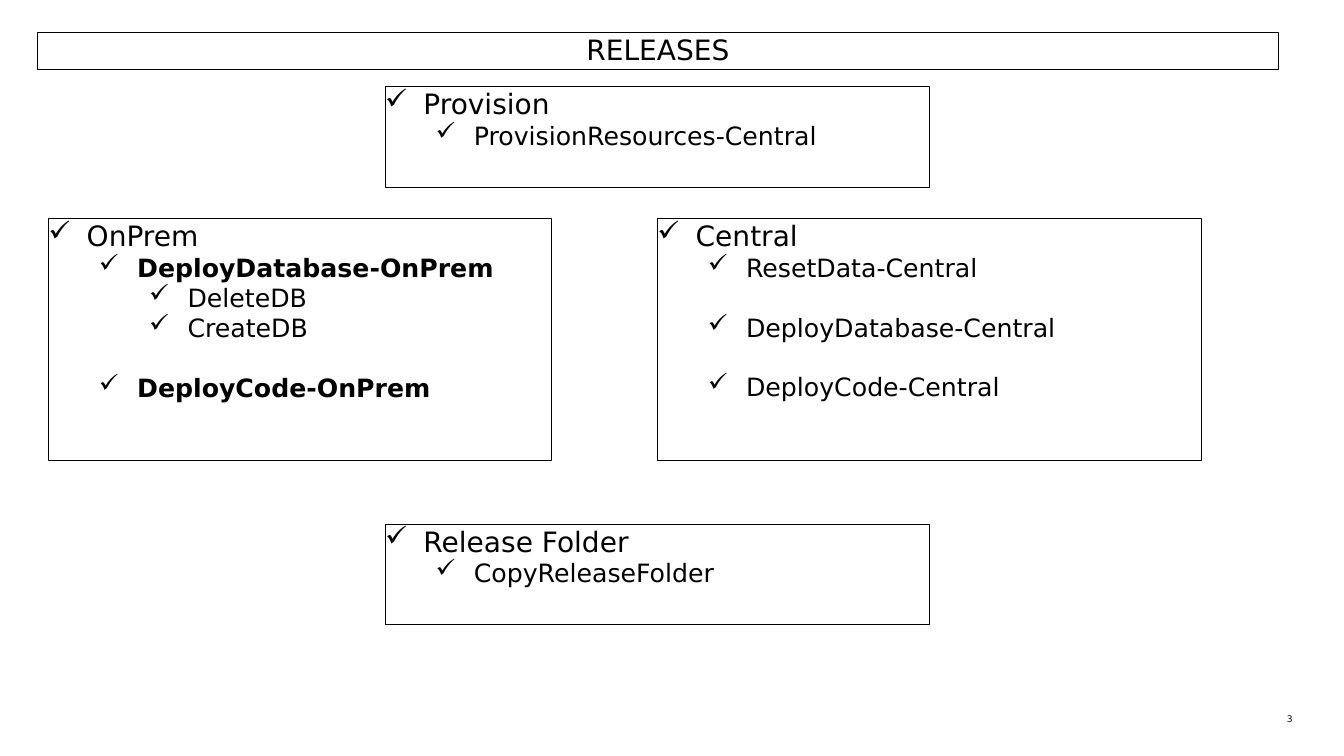
from lxml import etree
from pptx import Presentation
from pptx.dml import color
from pptx.enum import shapes, text
from pptx.oxml import ns
from pptx.util import Inches, Pt

FONT = "DejaVu Sans"
BLACK = "000000"
INDENT = 0.38
LEVEL_STEP = 0.5
GAP = 21


def rgb(value):
    return color.RGBColor.from_string(value)


def prepare_frame(frame):
    frame.word_wrap = True
    frame.vertical_anchor = text.MSO_ANCHOR.TOP
    frame.margin_left = frame.margin_right = Inches(0)
    frame.margin_top = frame.margin_bottom = Inches(0)


def write(para, content, size=18, bold=False, align=text.PP_ALIGN.LEFT, before=0):
    para.alignment = align
    para.space_before = Pt(before)
    span = para.add_run()
    span.text = content
    span.font.name = FONT
    span.font.size = Pt(size)
    span.font.bold = bold
    span.font.color.rgb = rgb(BLACK)


def add_check(para, level):
    para.level = level
    properties = para._p.get_or_add_pPr()
    properties.set("marL", str(Inches(INDENT + LEVEL_STEP * level)))
    properties.set("indent", str(-Inches(INDENT)))
    bullet = etree.SubElement(properties, ns.qn("a:buChar"))
    bullet.set("char", "✓")


def add_box(page, left, top, width, height):
    box = page.shapes.add_shape(
        shapes.MSO_SHAPE.RECTANGLE,
        Inches(left), Inches(top), Inches(width), Inches(height))
    box.shadow.inherit = False
    box.fill.background()
    box.line.color.rgb = rgb(BLACK)
    box.line.width = Pt(0.75)
    prepare_frame(box.text_frame)
    return box


def add_checklist(page, place, heading, items):
    frame = add_box(page, *place).text_frame
    write(frame.paragraphs[0], heading, size=20)
    add_check(frame.paragraphs[0], 0)
    for level, content, style in items:
        para = frame.add_paragraph()
        write(para, content, **style)
        add_check(para, level)


def add_page_number(page, number):
    box = page.shapes.add_textbox(
        Inches(12.48), Inches(7.08), Inches(0.34), Inches(0.11))
    prepare_frame(box.text_frame)
    write(box.text_frame.paragraphs[0], number, size=6.5, align=text.PP_ALIGN.RIGHT)


def main():
    deck = Presentation()
    deck.slide_width = Inches(13.33)
    deck.slide_height = Inches(7.5)
    page = deck.slides.add_slide(deck.slide_layouts[6])

    add_page_number(page, "3")
    title = add_box(page, 0.37, 0.32, 12.31, 0.37)
    write(title.text_frame.paragraphs[0], "RELEASES", size=20,
          align=text.PP_ALIGN.CENTER)

    add_checklist(page, (0.48, 2.17, 4.99, 2.4), "OnPrem", [
        (1, "DeployDatabase-OnPrem", {"bold": True}),
        (2, "DeleteDB", {}),
        (2, "CreateDB", {}),
        (1, "DeployCode-OnPrem", {"bold": True, "before": GAP}),
    ])
    add_checklist(page, (6.52, 2.17, 5.4, 2.4), "Central", [
        (1, "ResetData-Central", {}),
        (1, "DeployDatabase-Central", {"before": GAP}),
        (1, "DeployCode-Central", {"before": GAP}),
    ])
    add_checklist(page, (3.82, 0.86, 5.4, 1), "Provision", [
        (1, "ProvisionResources-Central", {}),
    ])
    add_checklist(page, (3.82, 5.2, 5.4, 1), "Release Folder", [
        (1, "CopyReleaseFolder", {}),
    ])
    deck.save("out.pptx")


if __name__ == "__main__":
    main()
